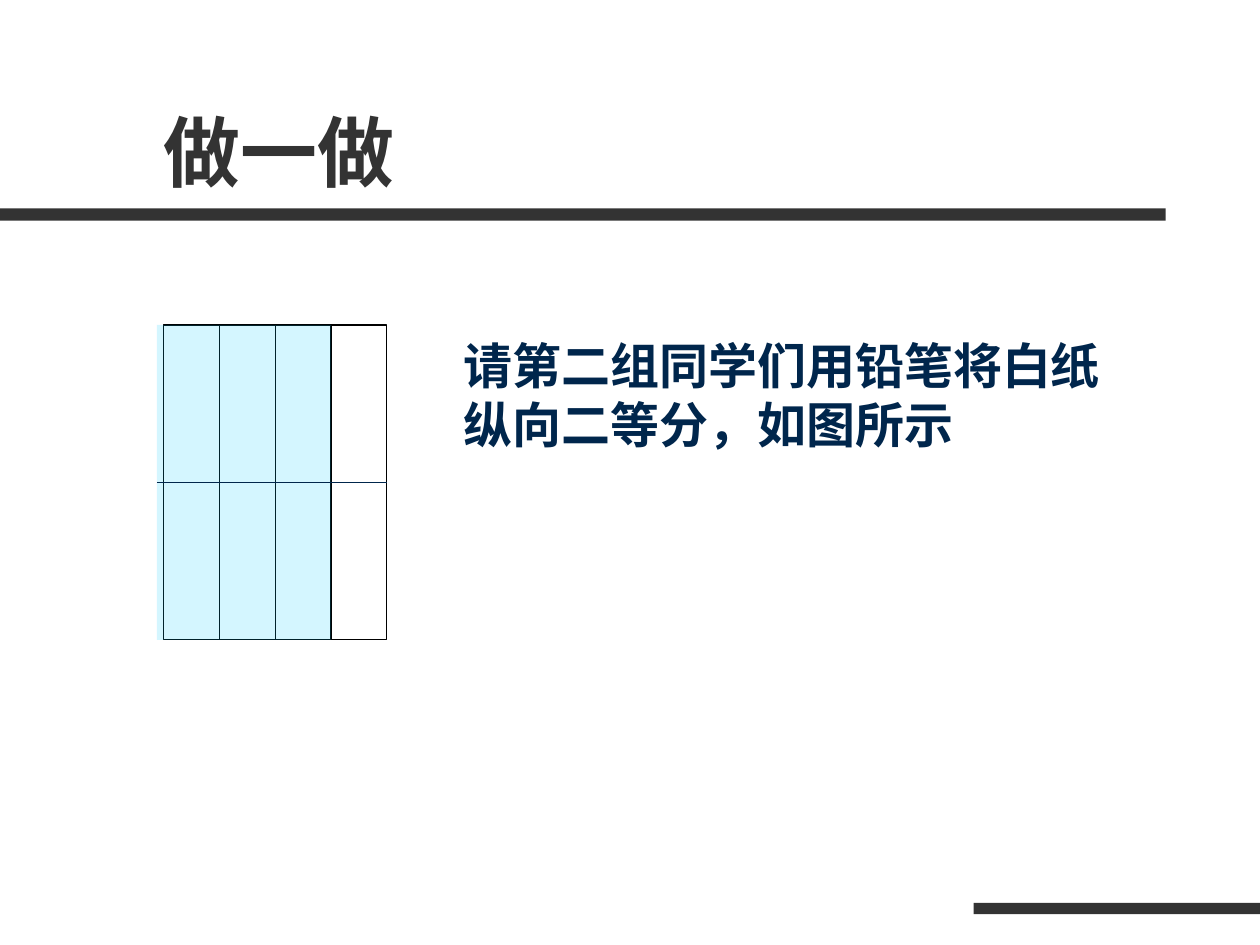
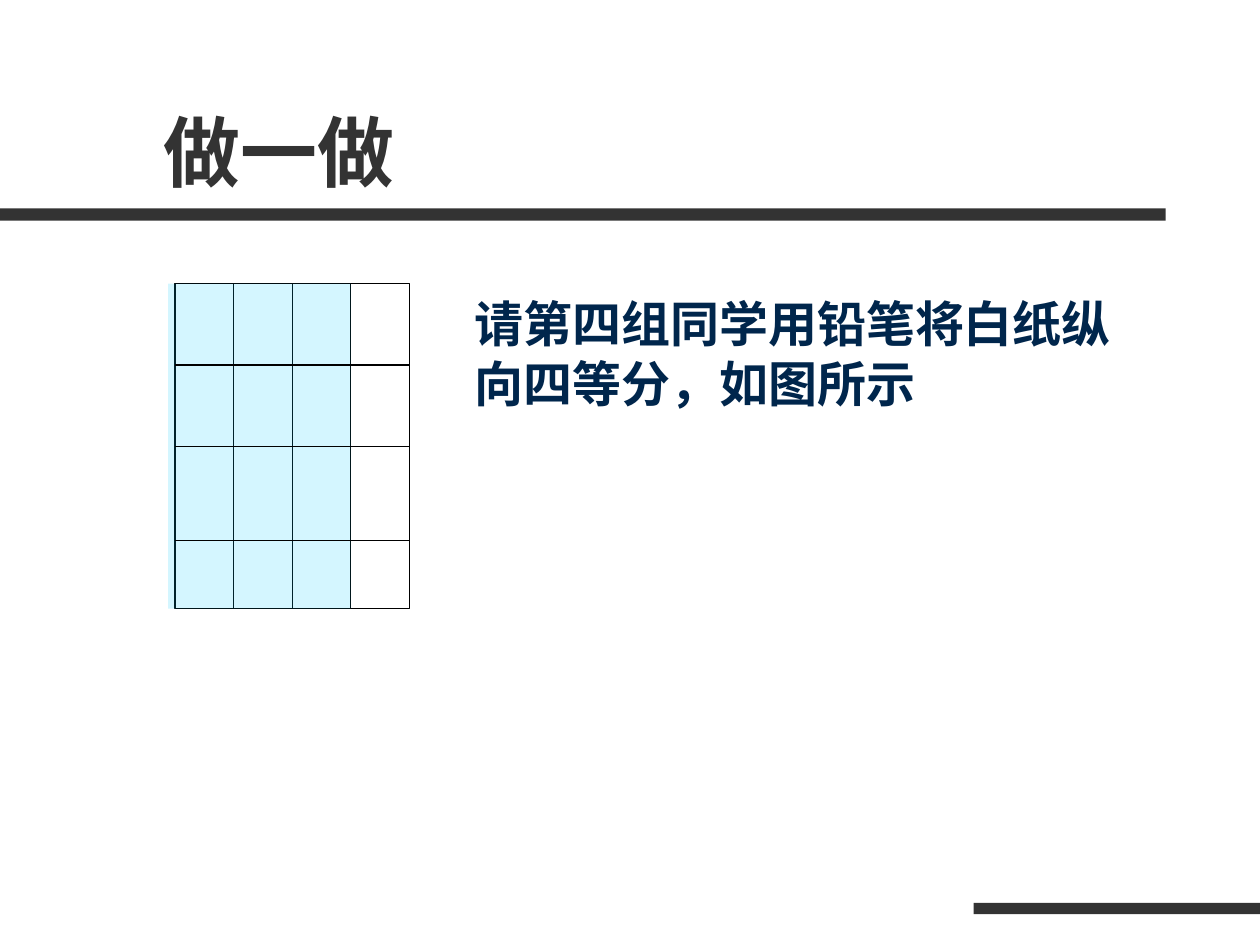
from dataclasses import dataclass

from lxml import etree
from pptx import Presentation
from pptx.dml.color import RGBColor
from pptx.enum.shapes import MSO_CONNECTOR, MSO_SHAPE
from pptx.enum.text import MSO_ANCHOR
from pptx.oxml.ns import qn
from pptx.util import Cm, Pt

RECT = MSO_SHAPE.RECTANGLE
STRAIGHT = MSO_CONNECTOR.STRAIGHT
TOP, BOTTOM = MSO_ANCHOR.TOP, MSO_ANCHOR.BOTTOM
SIDE_TOP, SIDE_LEFT, SIDE_BOTTOM, SIDE_RIGHT = range(4)

CHARCOAL = RGBColor(0x33, 0x33, 0x33)
NAVY = RGBColor(0x00, 0x26, 0x4C)
CYAN = RGBColor(0x00, 0xCC, 0xFF)
BLACK = RGBColor(0x00, 0x00, 0x00)
WHITE = RGBColor(0xFF, 0xFF, 0xFF)

SERIF = "Times New Roman"
CJK = "Noto Sans CJK SC"
TITLE = "做一做"
COLUMNS = 4
SHADED_COLUMNS = 3
SHADE_OVERHANG = 0.14
LINE_WIDTH = Pt(0.75)


@dataclass
class Box:
    """A rectangle in centimetres."""
    left: float
    top: float
    width: float
    height: float

    def emu(self):
        return Cm(self.left), Cm(self.top), Cm(self.width), Cm(self.height)


@dataclass
class Run:
    text: str
    latin: str = CJK


@dataclass
class Fold:
    """A horizontal line, as a share of the sheet's height."""
    share: float
    color: RGBColor = BLACK
    from_shade: bool = False


@dataclass
class Exercise:
    sheet: Box
    folds: list[Fold]
    text_box: Box
    runs: list[Run]


BANDS = [Box(0, 4.2, 23.5, 0.25), Box(19.63, 18.2, 5.77, 0.23)]
TITLE_BOX = Box(3.05, 0.79, 21.59, 3.17)

EXERCISES = [
    Exercise(
        Box(3.3, 6.55, 4.5, 6.35),
        [Fold(0.5, NAVY, from_shade=True)],
        Box(9.1, 6.55, 13.6, 2.64),
        [Run("请第二组同学们用铅笔将白纸纵向二等分，如图"), Run("所示", SERIF)],
    ),
    Exercise(
        Box(3.53, 5.72, 4.72, 6.55),
        [Fold(0.5), Fold(0.25), Fold(0.79)],
        Box(9.32, 5.72, 13.54, 2.64),
        [Run("请第四组同学用铅笔将白纸纵向四等分，如图所示")],
    ),
]


def add_rect(shapes, box: Box, fill: RGBColor, line: RGBColor | None = None):
    sp = shapes.add_shape(RECT, *box.emu())
    sp.shadow.inherit = False
    sp.fill.solid()
    sp.fill.fore_color.rgb = fill
    if line is None:
        sp.line.fill.background()
    else:
        sp.line.color.rgb = line
        sp.line.width = LINE_WIDTH
    return sp


def add_line(shapes, x1: float, y1: float, x2: float, y2: float, color: RGBColor):
    cxn = shapes.add_connector(STRAIGHT, Cm(x1), Cm(y1), Cm(x2), Cm(y2))
    cxn.line.color.rgb = color
    cxn.line.width = LINE_WIDTH
    etree.SubElement(cxn._element.spPr, qn("a:effectLst"))
    return cxn


def add_text(s, box: Box, runs: list[Run], size: float, color: RGBColor, anchor):
    tf = s.shapes.add_textbox(*box.emu()).text_frame
    tf.word_wrap = True
    tf.vertical_anchor = anchor
    p = tf.paragraphs[0]
    for run in runs:
        r = p.add_run()
        r.text = run.text
        r.font.size = Pt(size)
        r.font.bold = True
        r.font.color.rgb = color
        r.font.name = run.latin
        etree.SubElement(r.font._element, qn("a:ea"), typeface=CJK)
    return tf


def add_frame(s) -> None:
    """Bands and title shared by all slides."""
    for band in BANDS:
        add_rect(s.shapes, band, CHARCOAL)
    tf = add_text(s, TITLE_BOX, [Run(TITLE, SERIF)], 44, CHARCOAL, BOTTOM)
    tf.margin_bottom = 0


def add_sheet(s, box: Box, folds: list[Fold]) -> None:
    """The folded sheet with its first columns shaded."""
    shapes = s.shapes.add_group_shape().shapes
    sheet = add_rect(shapes, box, WHITE, BLACK)
    right, bottom = box.left + box.width, box.top + box.height
    column = box.width / COLUMNS

    # Column lines
    for i in range(1, COLUMNS):
        x = box.left + i * column
        cxn = add_line(shapes, x, box.top, x, bottom, BLACK)
        if 2 * i == COLUMNS:
            cxn.begin_connect(sheet, SIDE_TOP)
            cxn.end_connect(sheet, SIDE_BOTTOM)

    # Transparent shade
    shade_box = Box(box.left - SHADE_OVERHANG, box.top,
                    SHADED_COLUMNS * column + SHADE_OVERHANG, box.height)
    shade = add_rect(shapes, shade_box, CYAN)
    clr = shade._element.spPr.find(qn("a:solidFill"))[0]
    etree.SubElement(clr, qn("a:alpha"), val="17000")

    # Row lines
    for fold in folds:
        y = box.top + fold.share * box.height
        start = shade_box.left if fold.from_shade else box.left
        cxn = add_line(shapes, start, y, right, y, fold.color)
        if fold.share == 0.5:
            cxn.begin_connect(shade if fold.from_shade else sheet, SIDE_LEFT)
            cxn.end_connect(sheet, SIDE_RIGHT)


def add_exercise(prs, exercise: Exercise) -> None:
    s = prs.slides.add_slide(prs.slide_layouts[6])
    add_frame(s)
    add_sheet(s, exercise.sheet, exercise.folds)
    tf = add_text(s, exercise.text_box, exercise.runs, 28, NAVY, TOP)
    tf.margin_top = Cm(0.2)
    tf.paragraphs[0].line_spacing = Pt(33.8)


def main() -> None:
    prs = Presentation()
    prs.slide_width, prs.slide_height = Cm(25.4), Cm(19.05)
    for exercise in EXERCISES:
        add_exercise(prs, exercise)
    prs.save("out.pptx")


if __name__ == "__main__":
    main()
